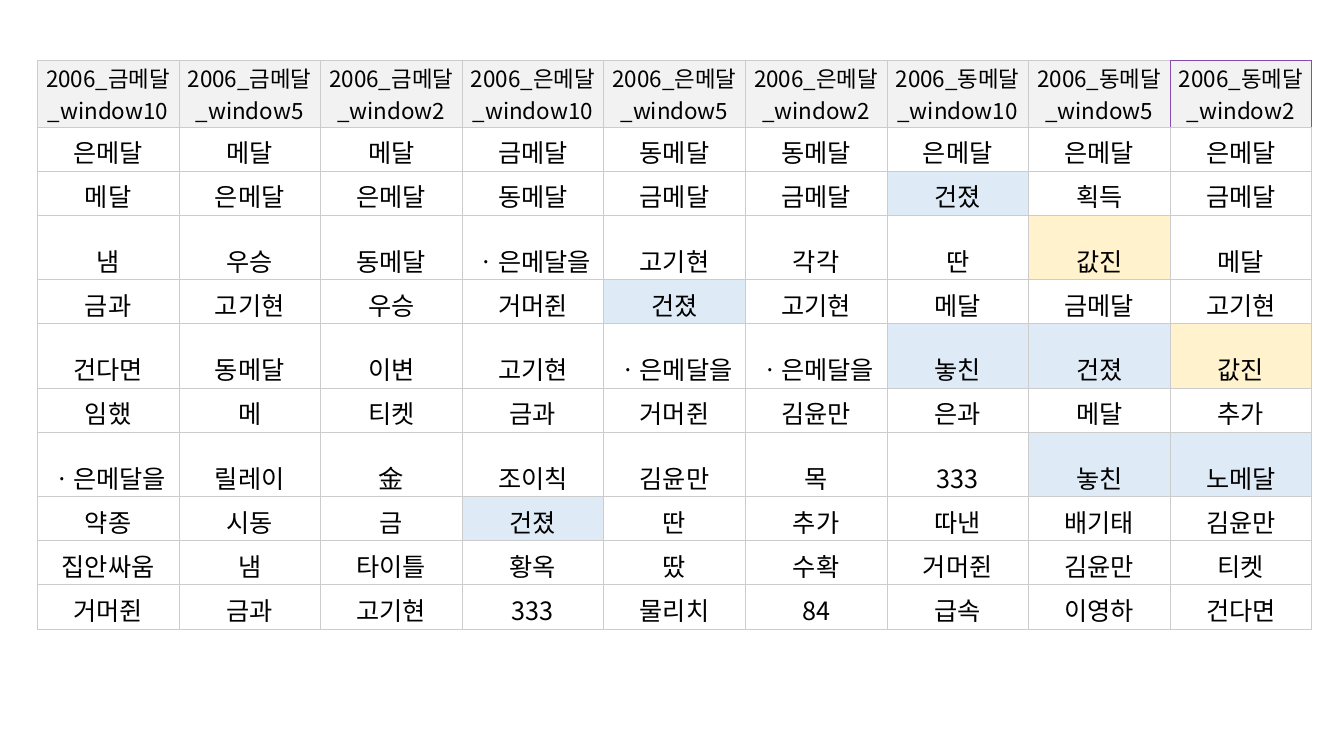
from dataclasses import dataclass, field
from itertools import product

from lxml.etree import SubElement
from pptx import Presentation
from pptx.dml.color import RGBColor
from pptx.enum.text import MSO_ANCHOR as Anchor, PP_ALIGN as Align
from pptx.oxml.ns import qn
from pptx.table import _Cell as TableCell
from pptx.util import Inches, Pt

FONT = "Noto Sans CJK KR"
BLACK, GREY, PURPLE = "000000", "CCCCCC", "884CAE"
HEADER_FILL, BLUE, YELLOW = "F2F2F2", "DEEBF7", "FFF2CC"
HIGHLIGHTS = {"건졌": BLUE, "놓친": BLUE, "노메달": BLUE, "값진": YELLOW}

LEFT, TOP, WIDTH, HEIGHT = 0.37, 0.6, 12.64, 5.59
HEADER_HEIGHT, TALL_HEIGHT = 0.61, 0.64
MARGIN = 0.01
LONG_WORD = "ㆍ은메달을"

HEADERS = [f"2006_{medal}메달_window{size}"
           for medal, size in product("금은동", (10, 5, 2))]
WORD_ROWS = [line.split() for line in (
    "은메달 메달 메달 금메달 동메달 동메달 은메달 은메달 은메달",
    "메달 은메달 은메달 동메달 금메달 금메달 건졌 획득 금메달",
    "냄 우승 동메달 ㆍ은메달을 고기현 각각 딴 값진 메달",
    "금과 고기현 우승 거머쥔 건졌 고기현 메달 금메달 고기현",
    "건다면 동메달 이변 고기현 ㆍ은메달을 ㆍ은메달을 놓친 건졌 값진",
    "임했 메 티켓 금과 거머쥔 김윤만 은과 메달 추가",
    "ㆍ은메달을 릴레이 金 조이칙 김윤만 목 333 놓친 노메달",
    "약종 시동 금 건졌 딴 추가 따낸 배기태 김윤만",
    "집안싸움 냄 타이틀 황옥 땄 수확 거머쥔 김윤만 티켓",
    "거머쥔 금과 고기현 333 물리치 84 급속 이영하 건다면",
)]


@dataclass
class Entry:
    text: str
    size: int = 18
    fill: str | None = None
    purple_sides: str = field(default="")


def rgb(hex_color: str) -> RGBColor:
    return RGBColor.from_string(hex_color)


def header_entries() -> list[Entry]:
    """Header cells; the last one is framed in purple except at the bottom."""
    entries = [Entry(text, 16, HEADER_FILL) for text in HEADERS]
    entries[-2].purple_sides = "R"
    entries[-1].purple_sides = "LRT"
    return entries


def row_heights() -> list[float]:
    tall = [LONG_WORD in row for row in WORD_ROWS]
    normal = (HEIGHT - HEADER_HEIGHT - TALL_HEIGHT * sum(tall)) / tall.count(False)
    return [HEADER_HEIGHT] + [TALL_HEIGHT if t else normal for t in tall]


def draw_borders(cell: TableCell, purple_sides: str) -> None:
    tc_pr = cell._tc.get_or_add_tcPr()
    for side in "LRTB":
        ln = SubElement(tc_pr, qn(f"a:ln{side}"), w=str(Pt(0.5)))
        solid = SubElement(ln, qn("a:solidFill"))
        color = PURPLE if side in purple_sides else GREY
        SubElement(solid, qn("a:srgbClr"), val=color)


def draw_entry(cell: TableCell, entry: Entry) -> None:
    draw_borders(cell, entry.purple_sides)
    if entry.fill:
        cell.fill.solid()
        cell.fill.fore_color.rgb = rgb(entry.fill)
    else:
        cell.fill.background()
    cell.vertical_anchor = Anchor.BOTTOM
    cell.margin_left = cell.margin_right = Inches(MARGIN)
    cell.margin_top = cell.margin_bottom = Inches(MARGIN)
    p = cell.text_frame.paragraphs[0]
    p.alignment = Align.CENTER
    r = p.add_run()
    r.text = entry.text
    r.font.size = Pt(entry.size)
    r.font.color.rgb = rgb(BLACK)
    r.font.name = FONT
    SubElement(r.font._element, qn("a:ea"), typeface=FONT)


def main() -> None:
    prs = Presentation()
    prs.slide_width, prs.slide_height = Inches(13.33), Inches(7.5)
    s = prs.slides.add_slide(prs.slide_layouts[6])

    rows = [header_entries()]
    rows += [[Entry(word, fill=HIGHLIGHTS.get(word)) for word in words]
             for words in WORD_ROWS]
    table = s.shapes.add_table(len(rows), len(HEADERS), Inches(LEFT), Inches(TOP),
                               Inches(WIDTH), Inches(HEIGHT)).table
    table.first_row = table.horz_banding = False
    for column in table.columns:
        column.width = Inches(WIDTH / len(HEADERS))
    for row, height in zip(table.rows, row_heights()):
        row.height = Inches(height)
    for row, entries in zip(table.rows, rows):
        for cell, entry in zip(row.cells, entries):
            draw_entry(cell, entry)

    prs.save("out.pptx")


if __name__ == "__main__":
    main()
